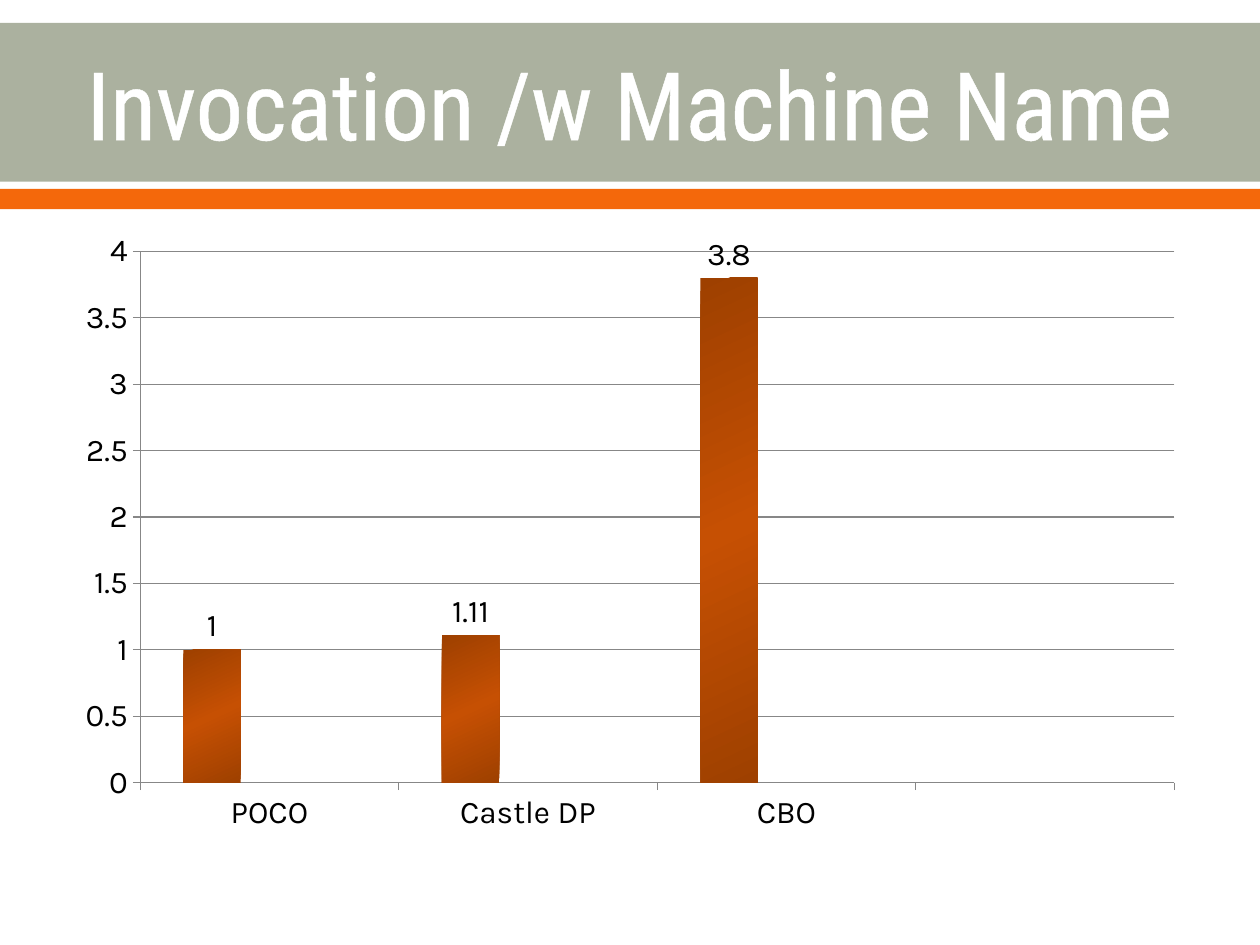
import dataclasses
import typing

import lxml.etree
import pptx
import pptx.chart.data
import pptx.dml.color
import pptx.enum.chart
import pptx.enum.shapes
import pptx.enum.text
import pptx.oxml
import pptx.oxml.ns
import pptx.util

Pt = pptx.util.Pt
HEX = {
    "sage": "ABB19F", "orange": "F4680B", "taupe": "948774", "white": "FFFFFF",
    "black": "000000", "gray": "878787", "rust": "9E4000", "ember": "C65003",
}
SPACE = pptx.oxml.ns.nsdecls("a")


@dataclasses.dataclass
class Band:
    top: float
    high: float
    color: str


@dataclasses.dataclass
class Series:
    name: str
    vals: list
    color: str


BANDS = [Band(13, 90.75, "sage"), Band(108, 11.5, "orange")]
CATS = ["POCO", "Castle DP", "CBO", ""]
EMPTY = [None] * len(CATS)
SERIES = [
    Series("Series 1", [1, 1.11, 3.8, None], "orange"),
    Series("Series 2", EMPTY, "sage"),
    Series("Series 3", EMPTY, "taupe"),
]


def tint(name: str) -> pptx.dml.color.RGBColor:
    return pptx.dml.color.RGBColor.from_string(HEX[name])


def format(item: typing.Any, values: dict) -> None:
    for key, value in values.items():
        setattr(item, key, value)


def fill(item: typing.Any, name: str) -> None:
    item.fill.solid()
    item.fill.fore_color.rgb = tint(name)


def color(name: str) -> str:
    return f'<a:srgbClr val="{HEX[name]}"/>'


def draw_band(slide: typing.Any, band: Band, place: int) -> None:
    rect = pptx.enum.shapes.MSO_SHAPE.RECTANGLE
    shape = slide.shapes.add_shape(rect, Pt(0), Pt(band.top), Pt(720), Pt(band.high))
    fill(shape, band.color)
    shape.line.fill.background()
    shape.shadow.inherit = False
    slide.shapes._spTree.insert(place, shape._element)


def draw_title(slide: typing.Any, text: str) -> None:
    title = slide.shapes.title
    format(title, {"left": Pt(36), "top": Pt(14.5), "width": Pt(648), "height": Pt(88)})
    frame = title.text_frame
    format(frame, {"vertical_anchor": pptx.enum.text.MSO_ANCHOR.MIDDLE, "word_wrap": True})
    para = frame.paragraphs[0]
    para.alignment = pptx.enum.text.PP_ALIGN.CENTER
    run = para.add_run()
    run.text = text
    format(run.font, {"name": "Roboto Condensed", "size": Pt(54)})
    run.font.color.rgb = tint("white")
    edge = pptx.oxml.parse_xml(
        f'<a:ln {SPACE} w="{Pt(1.1)}"><a:solidFill>{color("white")}</a:solidFill></a:ln>')
    run.font._element.insert(0, edge)


def shade(series: typing.Any) -> None:
    stops = "".join(
        f'<a:gs pos="{spot}">{color(name)}</a:gs>'
        for spot, name in [(0, "rust"), (50000, "ember"), (100000, "rust")])
    blend = pptx.oxml.parse_xml(
        f'<a:gradFill {SPACE} rotWithShape="1"><a:gsLst>{stops}</a:gsLst>'
        '<a:lin ang="3900000" scaled="0"/></a:gradFill>')
    props = series.format.fill._xPr
    old = props.find(pptx.oxml.ns.qn("a:solidFill"))
    props.replace(old, blend)


def draw_chart(slide: typing.Any) -> None:
    data = pptx.chart.data.CategoryChartData()
    data.categories = CATS
    for item in SERIES:
        data.add_series(item.name, item.vals)
    kind = pptx.enum.chart.XL_CHART_TYPE.COLUMN_CLUSTERED
    chart = slide.shapes.add_chart(kind, Pt(36), Pt(126), Pt(648), Pt(356.5), data).chart
    format(chart, {"has_legend": False, "has_title": False})
    format(chart.font, {"name": "Karla", "size": Pt(18)})
    chart.font.color.rgb = tint("black")

    tick = pptx.enum.chart.XL_TICK_MARK
    marks = {"major_tick_mark": tick.OUTSIDE, "minor_tick_mark": tick.NONE}
    format(chart.category_axis, marks | {"has_major_gridlines": False})
    format(chart.value_axis, marks | {
        "has_major_gridlines": True, "minimum_scale": 0,
        "maximum_scale": 4, "major_unit": 0.5})
    for part in (chart.category_axis, chart.value_axis, chart.value_axis.major_gridlines):
        part.format.line.color.rgb = tint("gray")
        part.format.line.width = Pt(0.75)

    plot = chart.plots[0]
    format(plot, {"gap_width": 150, "overlap": 0, "vary_by_categories": False})
    for item, series in zip(SERIES, plot.series):
        fill(series.format, item.color)
        format(series.data_labels, {
            "show_value": True,
            "position": pptx.enum.chart.XL_LABEL_POSITION.OUTSIDE_END})
    shade(plot.series[0])


def main() -> None:
    deck = pptx.Presentation()
    format(deck, {"slide_width": Pt(720), "slide_height": Pt(540)})
    slide = deck.slides.add_slide(deck.slide_layouts[5])
    for place, band in enumerate(BANDS, 2):
        draw_band(slide, band, place)
    draw_title(slide, "Invocation /w Machine Name")
    draw_chart(slide)
    deck.save("out.pptx")


if __name__ == "__main__":
    main()
